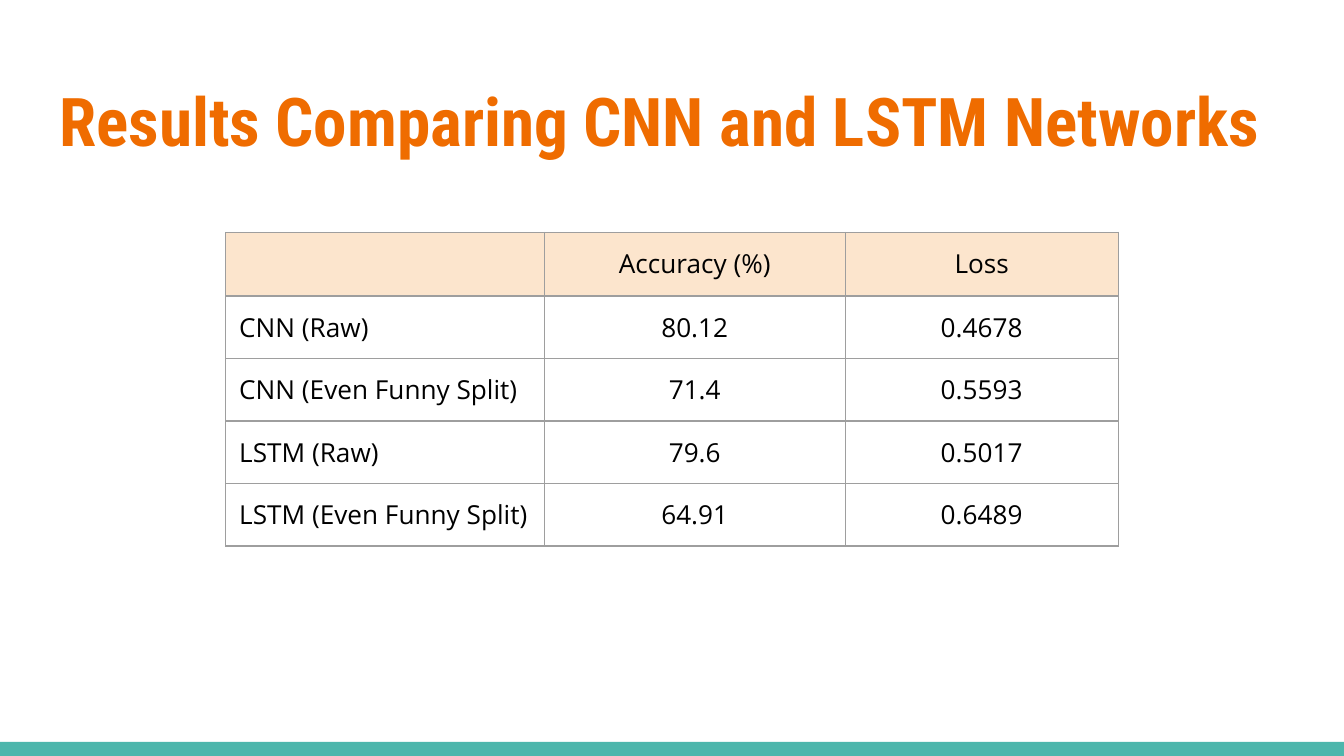
from lxml import etree
from pptx import Presentation
from pptx.dml.color import RGBColor
from pptx.enum.shapes import MSO_SHAPE
from pptx.enum.text import MSO_ANCHOR, PP_ALIGN
from pptx.oxml.ns import qn
from pptx.util import Inches, Pt

RECTANGLE = MSO_SHAPE.RECTANGLE
TOP = MSO_ANCHOR.TOP
LEFT, CENTER = PP_ALIGN.LEFT, PP_ALIGN.CENTER
TITLE_ONLY = 5

COLORS = {
    "title": "EF6C00",
    "text": "000000",
    "header": "FCE5CD",
    "body": "FFFFFF",
    "border": "9E9E9E",
    "bar": "4DB6AC",
}
TITLE_FONT, BODY_FONT = "Roboto Condensed", "Open Sans"

SLIDE_WIDTH = 10
SLIDE_HEIGHT = SLIDE_WIDTH * 9 / 16
RESULTS = [
    ("", "Accuracy (%)", "Loss"),
    ("CNN (Raw)", "80.12", "0.4678"),
    ("CNN (Even Funny Split)", "71.4", "0.5593"),
    ("LSTM (Raw)", "79.6", "0.5017"),
    ("LSTM (Even Funny Split)", "64.91", "0.6489"),
]
COLUMN_WIDTHS = (2.37, 2.24, 2.03)
ROW_HEIGHT = 0.43


def rgb(name):
    return RGBColor.from_string(COLORS[name])


class SlideBuilder:
    """Holds the text and table style and the slide being filled."""

    inset = Inches(0.1)
    cell_size = 14
    empty_cell_size = 16
    border_width = Pt(0.75)

    def __init__(self, slide):
        self.slide = slide

    def run(self, p, text, font, size, color, bold=False):
        r = p.add_run()
        r.text = text
        r.font.name = font
        r.font.size = Pt(size)
        r.font.bold = bold
        r.font.color.rgb = rgb(color)

    def bar(self, left, top, width, height, color):
        sp = self.slide.shapes.add_shape(
            RECTANGLE, Inches(left), Inches(top), Inches(width), Inches(height))
        sp.shadow.inherit = False
        sp.fill.solid()
        sp.fill.fore_color.rgb = rgb(color)
        sp.line.fill.background()

    def title(self, text, left, top, width, height):
        sp = self.slide.shapes.title
        sp.left, sp.top = Inches(left), Inches(top)
        sp.width, sp.height = Inches(width), Inches(height)
        tf = sp.text_frame
        tf.word_wrap = True
        tf.vertical_anchor = TOP
        tf.margin_left = tf.margin_right = self.inset
        tf.margin_top = tf.margin_bottom = self.inset
        p = tf.paragraphs[0]
        p.alignment = LEFT
        self.run(p, text, TITLE_FONT, 36, "title", bold=True)

    def borders(self, cell):
        """Draw all four sides; they must precede the fill in the XML."""
        tc_pr = cell._tc.get_or_add_tcPr()
        for i, side in enumerate(("a:lnL", "a:lnR", "a:lnT", "a:lnB")):
            ln = etree.Element(qn(side), w=str(self.border_width))
            fill = etree.SubElement(ln, qn("a:solidFill"))
            etree.SubElement(fill, qn("a:srgbClr"), val=COLORS["border"])
            tc_pr.insert(i, ln)

    def cell(self, cell, text, align, fill):
        cell.margin_left = cell.margin_right = self.inset
        cell.margin_top = cell.margin_bottom = self.inset
        cell.vertical_anchor = TOP
        cell.fill.solid()
        cell.fill.fore_color.rgb = rgb(fill)
        self.borders(cell)
        p = cell.text_frame.paragraphs[0]
        p.alignment = align
        if text:
            self.run(p, text, BODY_FONT, self.cell_size, "text")
        else:
            etree.SubElement(p._p, qn("a:endParaRPr"), sz=str(self.empty_cell_size * 100))

    def table(self, rows, left, top, widths, row_height):
        table = self.slide.shapes.add_table(
            len(rows), len(widths), Inches(left), Inches(top),
            Inches(sum(widths)), Inches(row_height * len(rows))).table
        for column, width in zip(table.columns, widths):
            column.width = Inches(width)
        for i, row in enumerate(rows):
            table.rows[i].height = Inches(row_height)
            for j, text in enumerate(row):
                self.cell(table.cell(i, j), text, CENTER if j else LEFT,
                          "body" if i else "header")


def main():
    prs = Presentation()
    prs.slide_width, prs.slide_height = Inches(SLIDE_WIDTH), Inches(SLIDE_HEIGHT)
    s = SlideBuilder(prs.slides.add_slide(prs.slide_layouts[TITLE_ONLY]))
    s.bar(0, 5.52, SLIDE_WIDTH, 0.11, "bar")
    s.title("Results Comparing CNN and LSTM Networks", 0.34, 0.49, 9.32, 0.77)
    s.table(RESULTS, 1.68, 1.73, COLUMN_WIDTHS, ROW_HEIGHT)
    prs.save("out.pptx")


if __name__ == "__main__":
    main()
